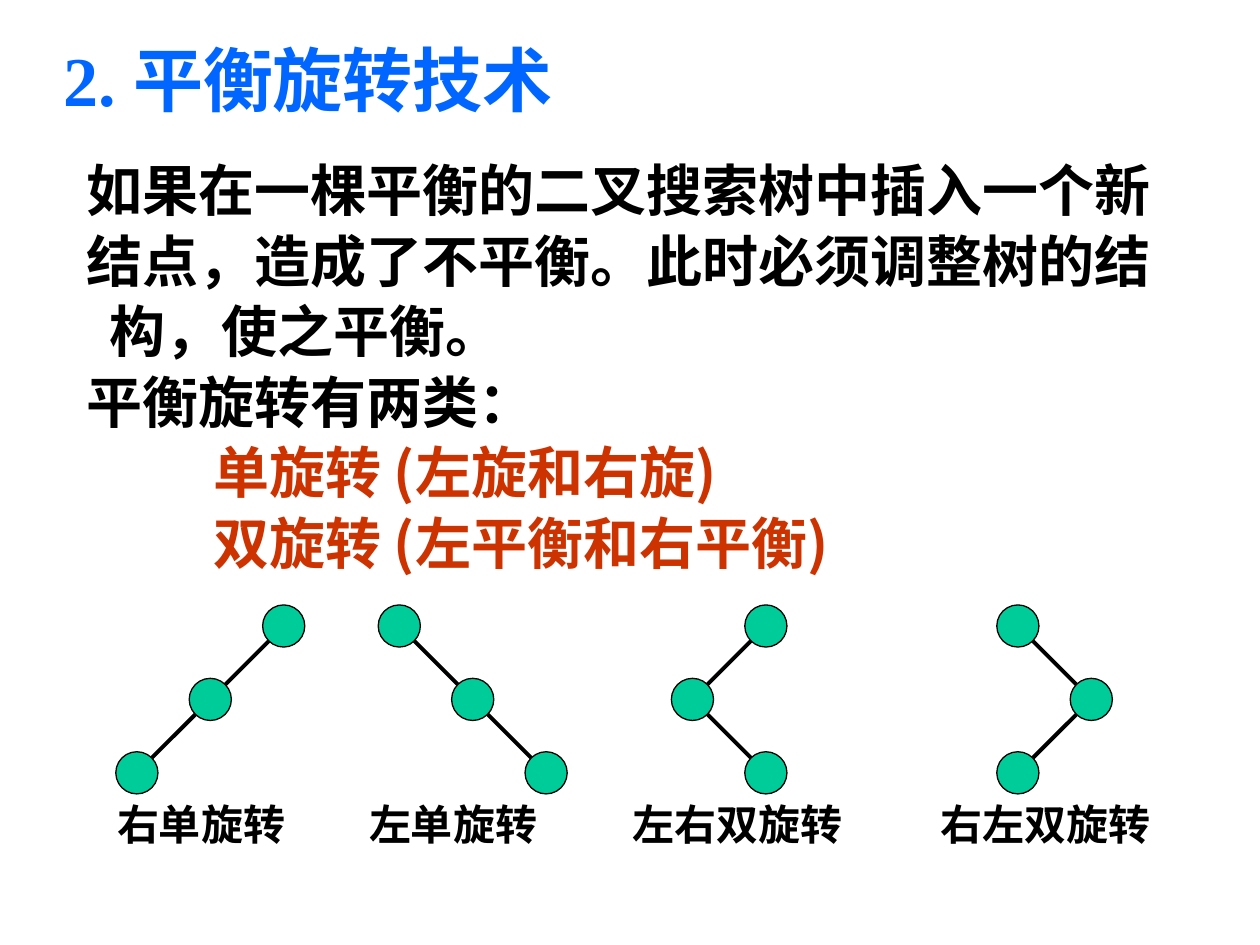
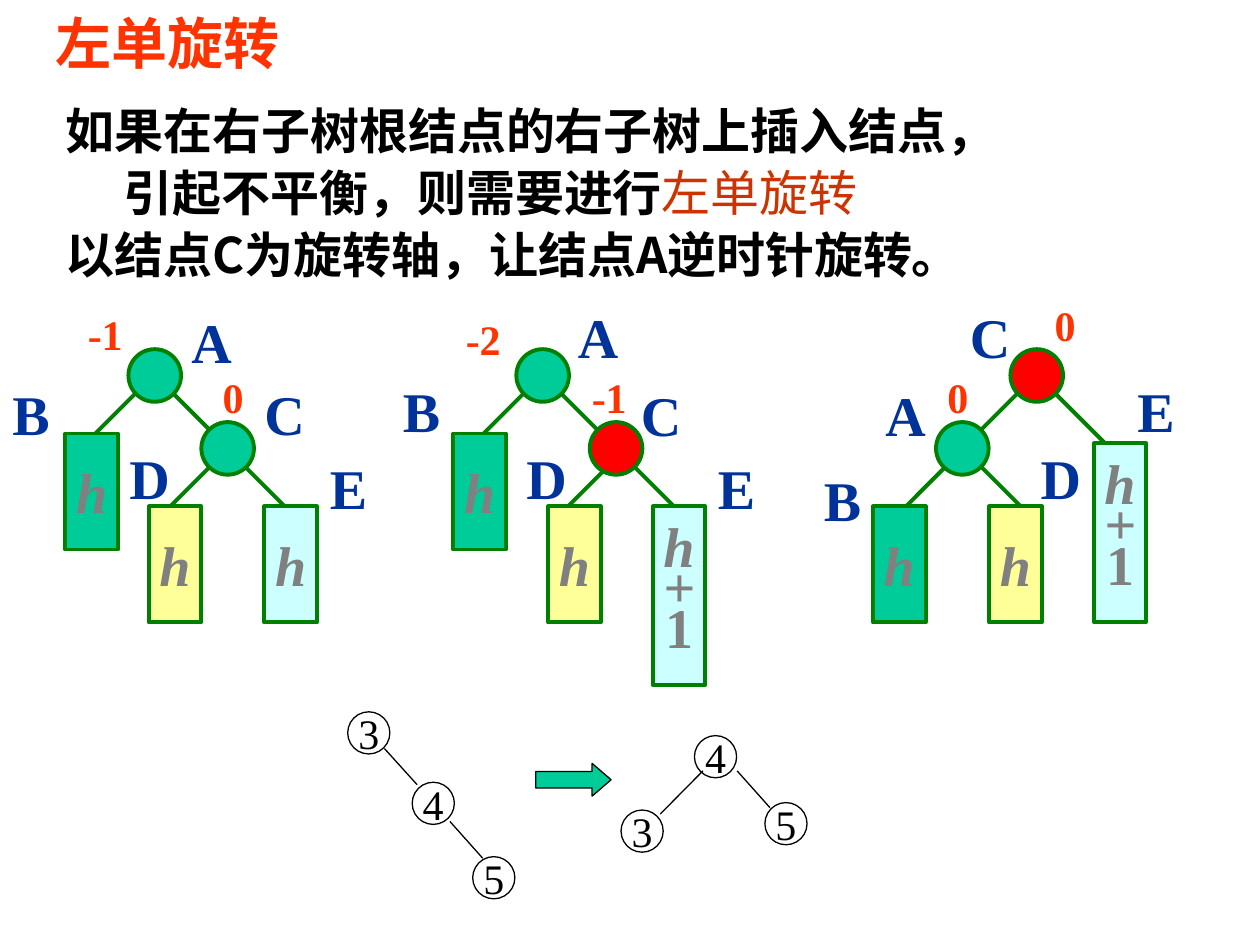
"""Build two slides on balancing rotations of binary search trees."""
from itertools import pairwise

from lxml.etree import SubElement
from pptx import Presentation
from pptx.dml.color import RGBColor
from pptx.enum.shapes import MSO_CONNECTOR as LINK, MSO_SHAPE as KIND
from pptx.enum.text import MSO_ANCHOR as ANCHOR, MSO_AUTO_SIZE as FIT, PP_ALIGN as ALIGN
from pptx.oxml.ns import qn
from pptx.util import Cm, Pt

BLACK = RGBColor(0x00, 0x00, 0x00)
BLUE = RGBColor(0x00, 0x66, 0xFF)
NAVY = RGBColor(0x00, 0x33, 0x99)
RUST = RGBColor(0xCC, 0x33, 0x00)
ORANGE = RGBColor(0xFF, 0x33, 0x00)
RED = RGBColor(0xFF, 0x00, 0x00)
MINT = RGBColor(0x00, 0xCC, 0x99)
GREEN = RGBColor(0x00, 0x80, 0x00)
CREAM = RGBColor(0xFF, 0xFF, 0x99)
SKY = RGBColor(0xCC, 0xFF, 0xFF)
GREY = RGBColor(0x80, 0x80, 0x80)
SERIF = "Times New Roman"
SANS = "Noto Sans CJK SC"


def style(font, size, color, name=SERIF, bold=True):
    font.size, font.bold, font.name = Pt(size), bold, name
    font.color.rgb = color
    SubElement(font._rPr, qn("a:ea")).set("typeface", SANS)


def form(slide, kind, x, y, w, h, fill, edge, width):
    shape = slide.shapes.add_shape(kind, Cm(x), Cm(y), Cm(w), Cm(h))
    shape.shadow.inherit = False
    if fill is None:
        shape.fill.background()
    else:
        shape.fill.solid()
        shape.fill.fore_color.rgb = fill
    shape.line.color.rgb = edge
    shape.line.width = Pt(width)
    frame = shape.text_frame
    frame.margin_left = frame.margin_right = frame.margin_top = frame.margin_bottom = 0
    frame.vertical_anchor = ANCHOR.MIDDLE
    return shape


deck = Presentation()
deck.slide_width, deck.slide_height = Cm(25.4), Cm(19.05)
types, left = [deck.slides.add_slide(deck.slide_layouts[1]) for _ in range(2)]

pages = [
    (types, "2. 平衡旋转技术", 40, BLUE, SERIF, (1.02, 0.74, 12.85, 1.7),
     (0.99, 2.95, 23.42, 9.04), 32, 40.3, 0, [
        (0.97, -0.48, BLACK, "如果在一棵平衡的二叉搜索树中插入一个新", ""),
        (0.97, -0.48, BLACK, "结点，造成了不平衡。此时必须调整树的结构，使之平衡。", ""),
        (0.97, -0.48, BLACK, "平衡旋转有两类：", ""),
        (3.05, 0, RUST, "单旋转 (左旋和右旋)", ""),
        (3.05, 0, RUST, "双旋转 (左平衡和右平衡)", "")]),
    (left, "左单旋转", 32, ORANGE, SANS, (0.86, 0, 5.72, 1.7),
     (0.64, 2.03, 23.7, 4.17), 28, 30, 5.4, [
        (0.97, -0.54, BLACK, "如果在右子树根结点的右子树上插入结点，", ""),
        (1.6, 0, BLACK, "引起不平衡，则需要进行", "左单旋转"),
        (0.97, -0.54, BLACK, "以结点C为旋转轴，让结点A逆时针旋转。", "")]),
]
for slide, head, tall, tint, face, top, area, size, pitch, gap, lines in pages:
    title, body = slide.placeholders
    for holder, box in ((title, top), (body, area)):
        holder.left, holder.top, holder.width, holder.height = map(Cm, box)
        holder.text_frame.auto_size = FIT.NONE
        holder.text_frame.word_wrap = True
    title.text_frame.text = head
    title.text_frame.vertical_anchor = ANCHOR.MIDDLE
    para = title.text_frame.paragraphs[0]
    para.alignment = ALIGN.LEFT
    style(para.font, tall, tint, face)
    body.text_frame.text = "\n".join(line[3] for line in lines)
    for i, para in enumerate(body.text_frame.paragraphs):
        start, hang, color, _, tail = lines[i]
        para.line_spacing = Pt(pitch)
        para.space_before = Pt(gap if i else 0)
        props = para._p.get_or_add_pPr()
        props.set("marL", str(Cm(start)))
        props.set("indent", str(Cm(hang)))
        SubElement(props, qn("a:buNone"))
        style(para.font, size, color, SANS)
        if tail:
            run = para.add_run()
            run.text = tail
            style(run.font, size, RUST, SANS, False)

STEP, DOT, ROOT = 1.48, 0.85, 12.62
trees = [
    ("右单旋转", 2.11, 5.72, (0, -1, -2)),
    ("左单旋转", 7.19, 8.05, (0, 1, 2)),
    ("左右双旋转", 12.5, 15.44, (0, -1, 0)),
    ("右左双旋转", 18.72, 20.52, (0, 1, 0)),
]
edges, labels, dots = [], [], []
for name, x, root, turns in trees:
    spots = [(root + STEP * turn, ROOT + STEP * row) for row, turn in enumerate(turns)]
    edges += [(types, *a, *b, BLACK, 2.25) for a, b in pairwise(spots)]
    dots += spots
    labels.append((types, x, 15.98, 5.8, name, 24, BLACK))

slopes = [
    (3.43, 7.87, 1.27), (4.9, 9.37, 1.27), (2.79, 7.87, -1.06), (4.27, 9.37, -1.06),
    (12.52, 9.14, 1.27), (12.52, 9.14, -1.06), (10.62, 7.87, -1.06), (11.05, 7.67, 1.27),
    (21.01, 7.67, 1.27), (20.57, 7.87, -1.06), (19.1, 9.37, -1.06), (19.74, 9.37, 1.27),
]
edges += [(left, x, y, x + run, y + abs(run), GREEN, 2.25) for x, y, run in slopes]
thin = [
    (15.52, 16.28, 14.86, 15.54), (14.17, 15.54, 13.31, 16.41),
    (7.75, 15.09, 8.41, 15.82), (9.07, 16.56, 9.73, 17.3),
]
edges += [(left, *ends, BLACK, 0.75) for ends in thin]
for slide, x1, y1, x2, y2, color, width in edges:
    link = slide.shapes.add_connector(LINK.STRAIGHT, Cm(x1), Cm(y1), Cm(x2), Cm(y2))
    link.line.color.rgb = color
    link.line.width = Pt(width)
    SubElement(link._element.spPr, qn("a:effectLst"))

for x, y in dots:
    form(types, KIND.OVAL, x - DOT / 2, y - DOT / 2, DOT, DOT, MINT, BLACK, 0.75)

WIDE = 1.06
nodes = [
    (2.59, 7.04, MINT), (4.06, 8.51, MINT),
    (10.41, 7.04, MINT), (11.89, 8.51, RED),
    (20.37, 7.04, RED), (18.87, 8.51, MINT),
]
for x, y, fill in nodes:
    form(left, KIND.OVAL, x, y, WIDE, WIDE, fill, GREEN, 2.25)

boxes = [
    (1.32, 8.74, MINT, "h"), (3, 10.21, CREAM, "h"), (5.33, 10.21, SKY, "h"),
    (9.14, 8.74, MINT, "h"), (11.05, 10.21, CREAM, "h"), (13.16, 10.21, SKY, "h+1"),
    (17.6, 10.21, MINT, "h"), (19.94, 10.21, CREAM, "h"), (22.05, 8.94, SKY, "h+1"),
]
for x, y, fill, text in boxes:
    high = 2.34 if text == "h" else 3.6
    frame = form(left, KIND.RECTANGLE, x, y, WIDE, high, fill, GREEN, 2.25).text_frame
    frame.text = "\n".join(text)
    for para in frame.paragraphs:
        para.alignment = ALIGN.CENTER
        para.line_spacing = 1.0 if text == "h" else 0.6
        style(para.font, 32, GREY)
        para.font.italic = para.text != "1"

digits = [
    (7.01, 14.35, "3"), (8.31, 15.77, "4"), (9.53, 17.27, "5"),
    (14, 14.83, "4"), (12.52, 16.33, "3"), (15.42, 16.18, "5"),
]
for x, y, text in digits:
    frame = form(left, KIND.OVAL, x, y, DOT, DOT, None, BLACK, 0.75).text_frame
    frame.word_wrap = False
    frame.text = text
    para = frame.paragraphs[0]
    para.alignment = ALIGN.CENTER
    style(para.font, 24, BLACK, bold=False)

arrow = form(left, KIND.RIGHT_ARROW, 10.8, 15.39, 1.52, 0.66, MINT, BLACK, 0.75)
arrow.adjustments[0], arrow.adjustments[1] = 0.5, 0.58

names = [
    (3.61, 6.07, "A"), (5.08, 7.52, "C"), (6.4, 9.02, "E"), (0, 7.52, "B"), (2.36, 8.81, "D"),
    (11.4, 5.97, "A"), (12.67, 7.54, "C"), (14.22, 9.02, "E"), (7.87, 7.47, "B"),
    (10.36, 8.81, "D"), (19.3, 5.97, "C"), (22.68, 7.47, "E"), (17.6, 7.54, "A"),
    (16.36, 9.25, "B"), (20.73, 8.81, "D"),
]
marks = [
    (1.52, 6.1, "-1"), (4.24, 7.37, "0"), (9.14, 6.2, "-2"), (11.68, 7.37, "-1"),
    (18.85, 7.37, "0"), (21.01, 5.92, "0"),
]
labels += [(left, x, y, 1.5, text, 32, NAVY) for x, y, text in names]
labels += [(left, x, y, 1.5, text, 24, ORANGE) for x, y, text in marks]
for slide, x, y, width, text, size, color in labels:
    high = 1.6 if size == 32 else 1.27
    frame = slide.shapes.add_textbox(Cm(x), Cm(y), Cm(width), Cm(high)).text_frame
    frame.word_wrap = True
    frame.text = text
    style(frame.paragraphs[0].font, size, color)

deck.save("out.pptx")
